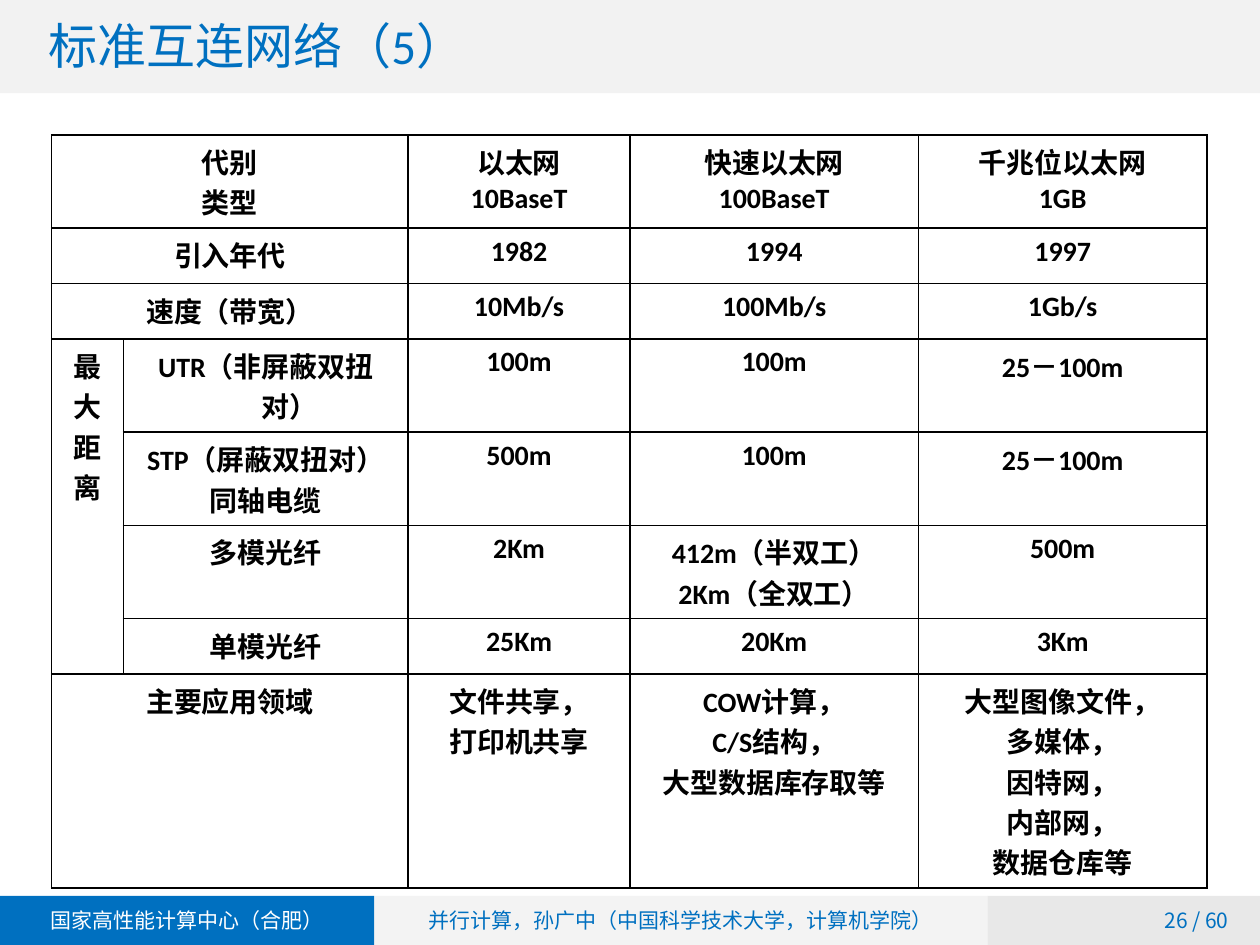
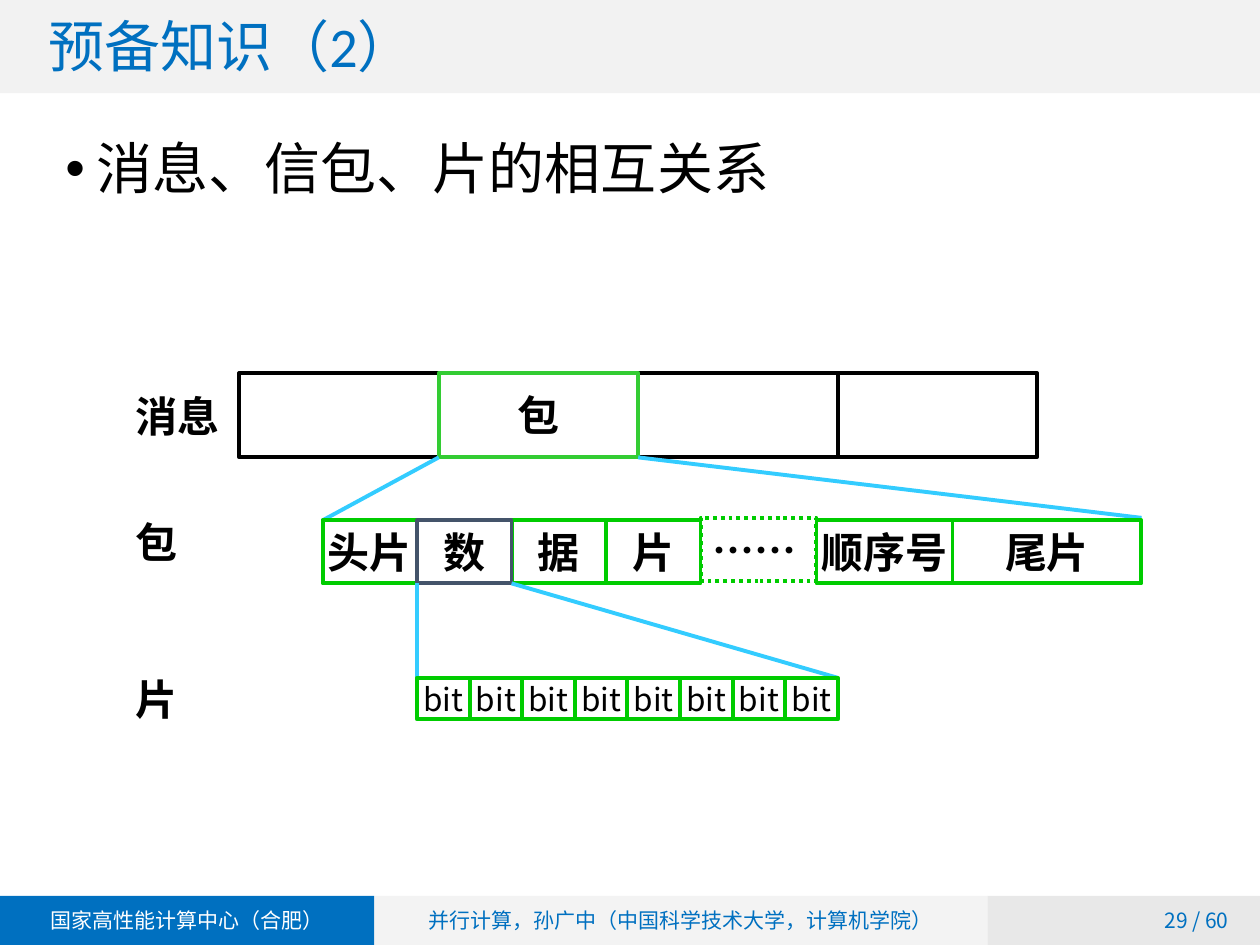
from dataclasses import dataclass
from itertools import accumulate
from typing import NamedTuple, Optional

from lxml import etree
from pptx import Presentation
from pptx.dml.color import RGBColor
from pptx.enum.dml import MSO_LINE
from pptx.enum.shapes import MSO_CONNECTOR, MSO_SHAPE
from pptx.enum.text import MSO_ANCHOR, PP_ALIGN
from pptx.oxml.ns import qn
from pptx.util import Inches, Pt

LEFT, CENTER, RIGHT = PP_ALIGN.LEFT, PP_ALIGN.CENTER, PP_ALIGN.RIGHT
TOP, MIDDLE = MSO_ANCHOR.TOP, MSO_ANCHOR.MIDDLE
RECT, STRAIGHT, DOTTED = MSO_SHAPE.RECTANGLE, MSO_CONNECTOR.STRAIGHT, MSO_LINE.ROUND_DOT


@dataclass(frozen=True)
class Theme:
    blue: str = "0070C0"
    white: str = "FFFFFF"
    black: str = "000000"
    title_band: str = "F2F2F2"
    footer_mid: str = "BFBFBF"
    footer_end: str = "808080"
    packet: str = "33CC33"
    flit: str = "00CC00"
    data_flit: str = "44546A"
    zoom: str = "33CCFF"
    latin: str = "Calibri"
    cjk: str = "Noto Sans CJK SC"
    footer_size: int = 12
    table_size: int = 16
    bit_size: int = 18
    label_size: int = 24
    table_title_size: int = 28
    title_size: int = 32
    body_size: int = 32
    line_width: float = 2.25


T = Theme()


class Box(NamedTuple):
    x: float
    y: float
    w: float
    h: float


class Style(NamedTuple):
    size: float
    color: str = T.black
    bold: bool = False
    font: str = T.cjk


class Band(NamedTuple):
    box: Box
    fill: str
    alpha: Optional[int] = None
    text: str = ""
    color: str = T.blue


class Flit(NamedTuple):
    text: str
    width: float
    color: str = T.flit


BANDS = [
    Band(Box(7.84, 7.11, 2.16, 0.39), T.footer_end, 18),
    Band(Box(0, 0, 10, 0.74), T.title_band),
    Band(Box(0, 7.11, 2.97, 0.39), T.blue, None, "国家高性能计算中心（合肥）", T.white),
    Band(Box(2.97, 7.11, 4.87, 0.39), T.footer_mid, 18,
         "并行计算，孙广中（中国科学技术大学，计算机学院）"),
]
LABEL = Style(T.label_size, bold=True)
BIT = Style(T.bit_size)
CELL = Style(T.table_size, bold=True, font=T.latin)

# Table content: a line break starts a new paragraph, None is merged away
COLUMNS = [0.57, 2.26, 1.76, 2.29, 2.29]
ONE_LINE, TWO_LINES, FIVE_LINES = 0.44, 0.74, 1.7
ROW_HEIGHTS = [TWO_LINES, ONE_LINE, ONE_LINE, TWO_LINES, TWO_LINES, TWO_LINES,
               ONE_LINE, FIVE_LINES]
ETHERNET = [
    ["代别\n类型", None, "以太网\n10BaseT", "快速以太网\n100BaseT", "千兆位以太网\n1GB"],
    ["引入年代", None, "1982", "1994", "1997"],
    ["速度（带宽）", None, "10Mb/s", "100Mb/s", "1Gb/s"],
    ["最\n大\n距\n离", "UTR（非屏蔽双扭对）", "100m", "100m", "25－100m"],
    [None, "STP（屏蔽双扭对）\n同轴电缆", "500m", "100m", "25－100m"],
    [None, "多模光纤", "2Km", "412m（半双工）\n2Km（全双工）", "500m"],
    [None, "单模光纤", "25Km", "20Km", "3Km"],
    ["主要应用领域", None, "文件共享，\n打印机共享", "COW计算，\nC/S结构，\n大型数据库存取等",
     "大型图像文件，\n多媒体，\n因特网，\n内部网，\n数据仓库等"],
]
MERGES = [((0, 0), (0, 1)), ((1, 0), (1, 1)), ((2, 0), (2, 1)),
          ((3, 0), (6, 0)), ((7, 0), (7, 1))]

# Message, packet and flit diagram
MESSAGE = Box(1.9, 2.96, 6.33, 0.67)
PACKET_X, PACKET_Y, PACKET_H = 2.56, 4.13, 0.5
BITS = Box(3.31, 5.38, 3.34, 0.33)
FLITS = [
    Flit("头片", 0.75), Flit("数", 0.75, T.data_flit), Flit("据", 0.75), Flit("片", 0.75),
    Flit("……", 0.92), Flit("顺序号", 1.08), Flit("尾片", 1.5),
]
LEVELS = [("消息", 3.05), ("包", 4.05), ("片", 5.3)]


def rgb(color: str) -> RGBColor:
    return RGBColor.from_string(color)


def inches(box: Box) -> list:
    return [Inches(v) for v in box]


def write(tf, text: str, style: Style, align=LEFT, anchor=None, wrap: Optional[bool] = True,
          spacing: Optional[float] = None, hanging: float = 0, bullet: str = "") -> None:
    """Fill a text frame, one paragraph per line of text."""
    if anchor is not None:
        tf.vertical_anchor = anchor
    if wrap is not None:
        tf.word_wrap = wrap
    for i, line in enumerate(text.split("\n")):
        p = tf.add_paragraph() if i else tf.paragraphs[0]
        p.alignment = align
        if spacing:
            p.line_spacing = spacing
        pPr = p._p.get_or_add_pPr()
        if hanging:
            pPr.set("marL", str(Inches(hanging)))
            pPr.set("indent", str(-Inches(hanging)))
        if bullet:
            etree.SubElement(pPr, qn("a:buFont")).set("typeface", "Arial")
            etree.SubElement(pPr, qn("a:buChar")).set("char", bullet)
        r = p.add_run()
        r.text = line
        r.font.size, r.font.bold, r.font.name = Pt(style.size), style.bold, style.font
        r.font.color.rgb = rgb(style.color)
        etree.SubElement(r._r.get_or_add_rPr(), qn("a:ea")).set("typeface", T.cjk)


def add_label(slide, box: Box, text: str, style: Style, anchor=TOP, **layout) -> None:
    sp = slide.shapes.add_textbox(*inches(box))
    write(sp.text_frame, text, style, anchor=anchor, **layout)


def add_band(slide, band: Band) -> None:
    sp = slide.shapes.add_shape(RECT, *inches(band.box))
    sp.shadow.inherit = False
    sp.line.fill.background()
    sp.fill.solid()
    sp.fill.fore_color.rgb = rgb(band.fill)
    if band.alpha is not None:
        color = sp._element.spPr.find(".//" + qn("a:srgbClr"))
        etree.SubElement(color, qn("a:alpha")).set("val", str(band.alpha * 1000))
    if band.text:
        write(sp.text_frame, band.text, Style(T.footer_size, band.color), CENTER, MIDDLE)


def add_outline(slide, box: Box, color: str, text: str = "", style: Style = LABEL,
                dotted: bool = False) -> None:
    sp = slide.shapes.add_shape(RECT, *inches(box))
    sp.shadow.inherit = False
    sp.fill.background()
    sp.line.color.rgb = rgb(color)
    sp.line.width = Pt(T.line_width)
    if dotted:
        sp.line.dash_style = DOTTED
        write(sp.text_frame, text, style, LEFT, TOP)
    elif text:
        write(sp.text_frame, text, style, CENTER, MIDDLE, wrap=False)


def add_zoom_line(slide, x1: float, y1: float, x2: float, y2: float) -> None:
    line = slide.shapes.add_connector(STRAIGHT, *[Inches(v) for v in (x1, y1, x2, y2)])
    line.line.color.rgb = rgb(T.zoom)
    line.line.width = Pt(T.line_width)
    etree.SubElement(line._element.spPr, qn("a:effectLst"))


def add_page(prs, title: str, title_size: int, number: int):
    slide = prs.slides.add_slide(prs.slide_layouts[6])
    for band in BANDS:
        add_band(slide, band)
    add_label(slide, Box(0.29, 0.11, 8.62, 0.56), title,
              Style(title_size, T.blue, font=T.latin), MIDDLE, spacing=0.9)
    add_label(slide, Box(8.89, 7.11, 0.96, 0.39), f"{number} / 60",
              Style(T.footer_size, T.blue), MIDDLE, align=RIGHT)
    return slide


def set_borders(cell) -> None:
    tcPr = cell._tc.get_or_add_tcPr()
    for side in ("a:lnL", "a:lnR", "a:lnT", "a:lnB"):
        ln = etree.SubElement(tcPr, qn(side), w=str(Pt(1)))
        fill = etree.SubElement(ln, qn("a:solidFill"))
        etree.SubElement(fill, qn("a:srgbClr")).set("val", T.black)


def build_ethernet(prs) -> None:
    slide = add_page(prs, "标准互连网络（5）", T.table_title_size, 26)
    box = Box(0.41, 1.07, sum(COLUMNS), sum(ROW_HEIGHTS))
    table = slide.shapes.add_table(len(ROW_HEIGHTS), len(COLUMNS), *inches(box)).table
    table.first_row = table.horz_banding = False
    for column, width in zip(table.columns, COLUMNS):
        column.width = Inches(width)
    for row, height in zip(table.rows, ROW_HEIGHTS):
        row.height = Inches(height)
    for start, end in MERGES:
        table.cell(*start).merge(table.cell(*end))
    for i, values in enumerate(ETHERNET):
        for j, text in enumerate(values):
            cell = table.cell(i, j)
            set_borders(cell)
            cell.fill.background()
            if text:
                write(cell.text_frame, text, CELL, CENTER, wrap=None, hanging=0.38)


def build_message(prs) -> None:
    slide = add_page(prs, "预备知识（2）", T.title_size, 29)
    add_label(slide, Box(0.42, 1.07, 9.17, 5.52), "消息、信包、片的相互关系",
              Style(T.body_size), spacing=0.9, hanging=0.25, bullet="•")
    for text, y in LEVELS:
        add_label(slide, Box(0.98, y, 1, 0.5), text, LABEL)

    # Message: four packets, the second one on top
    packet_w = MESSAGE.w / 4
    packets = [Box(MESSAGE.x + i * packet_w, MESSAGE.y, packet_w, MESSAGE.h) for i in range(4)]
    for i in (0, 2, 3):
        add_outline(slide, packets[i], T.black)
    add_outline(slide, packets[1], T.packet, "包")

    # Zoom from the packet to its flits
    edges = list(accumulate((f.width for f in FLITS), initial=PACKET_X))
    message_bottom = MESSAGE.y + MESSAGE.h
    add_zoom_line(slide, packets[2].x, message_bottom, edges[-1], 4.11)
    add_zoom_line(slide, packets[1].x, message_bottom, edges[0], PACKET_Y)

    # Packet: the coloured data flit is drawn last
    for x, flit in sorted(zip(edges, FLITS), key=lambda item: item[1].color == T.data_flit):
        dotted = flit.text == "……"
        y = PACKET_Y - 0.02 if dotted else PACKET_Y
        add_outline(slide, Box(x, y, flit.width, PACKET_H), flit.color, flit.text, dotted=dotted)

    # Zoom from the data flit to its bits
    packet_bottom = PACKET_Y + PACKET_H
    add_zoom_line(slide, edges[1], packet_bottom, BITS.x, BITS.y)
    add_zoom_line(slide, edges[2], packet_bottom, BITS.x + BITS.w, BITS.y)
    bit_w = BITS.w / 8
    for i in range(8):
        add_outline(slide, Box(BITS.x + i * bit_w, BITS.y, bit_w, BITS.h), T.flit, "bit", BIT)


def main() -> None:
    prs = Presentation()
    prs.slide_width, prs.slide_height = Inches(10), Inches(7.5)
    build_ethernet(prs)
    build_message(prs)
    prs.save("out.pptx")


if __name__ == "__main__":
    main()
